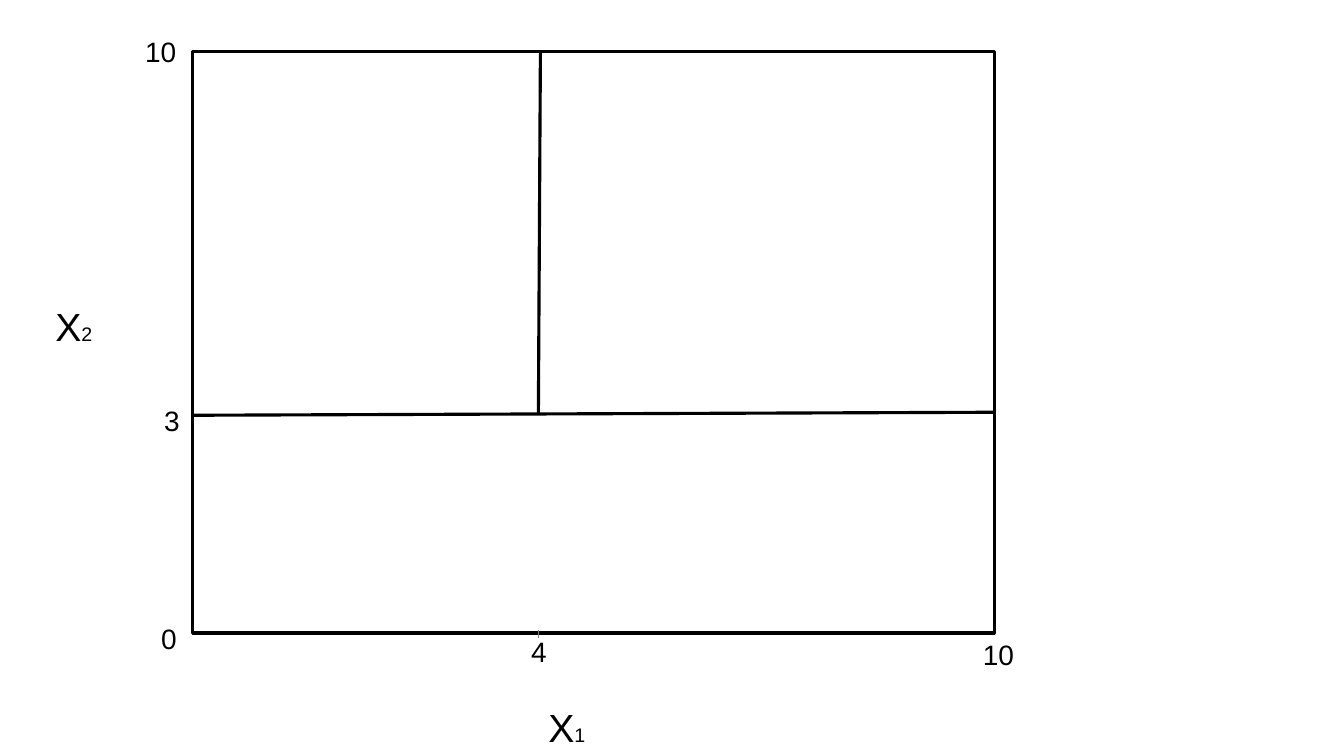
from pptx import Presentation
from pptx.dml.color import RGBColor
from pptx.enum.shapes import MSO_CONNECTOR, MSO_SHAPE
from pptx.enum.text import MSO_AUTO_SIZE
from pptx.util import Inches, Pt
from lxml import etree

RECT = MSO_SHAPE.RECTANGLE
LINE = MSO_CONNECTOR.STRAIGHT
GROW = MSO_AUTO_SIZE.SHAPE_TO_FIT_TEXT
NS = "http://schemas.openxmlformats.org/drawingml/2006/main"
BLACK, GREY = "000000", "808080"

LEFT, TOP, WIDTH, HEIGHT = 1.91, 0.51, 7.95, 5.77
SPLIT = 5.34

TICKS = [
    ("10", 1.34, 0.29),
    ("10", 9.65, 6.28),
    ("0", 1.5, 6.12),
    ("3", 1.53, 3.95),
    ("4", 5.17, 6.25),
]
AXES = [("1", 5.34, 6.93), ("2", 0.45, 2.95)]
SPLITS = [
    (SPLIT + 0.02, TOP, SPLIT, 4.1, BLACK, 2.25),
    (LEFT + WIDTH, 4.09, LEFT, 4.12, BLACK, 2.25),
    (SPLIT, 6.25, SPLIT, 6.33, GREY, 1),
]


def paint(fmt, color):
    fmt.rgb = RGBColor.from_string(color)


def style(line, color, width):
    paint(line.color, color)
    line.width = Pt(width)


def add_frame(slide):
    box = [Inches(v) for v in (LEFT, TOP, WIDTH, HEIGHT)]
    frame = slide.shapes.add_shape(RECT, *box)
    frame.shadow.inherit = False
    frame.fill.background()
    style(frame.line, BLACK, 2.25)


def add_line(slide, x1, y1, x2, y2, color, width):
    ends = [Inches(v) for v in (x1, y1, x2, y2)]
    line = slide.shapes.add_connector(LINE, *ends)
    style(line.line, color, width)
    etree.SubElement(line._element.spPr, f"{{{NS}}}effectLst")


def add_label(slide, runs, x, y, width, height):
    """Place a text box; runs are pairs of text and point size."""
    box = [Inches(v) for v in (x, y, width, height)]
    frame = slide.shapes.add_textbox(*box).text_frame
    for name, value in {"word_wrap": False, "auto_size": GROW}.items():
        setattr(frame, name, value)
    for text, size in runs:
        run = frame.paragraphs[0].add_run()
        run.text = text
        for name, value in {"name": "Arial", "size": Pt(size)}.items():
            setattr(run.font, name, value)
        paint(run.font.color, BLACK)


def main():
    deck = Presentation()
    deck.slide_width, deck.slide_height = Inches(13.33), Inches(7.5)
    slide = deck.slides.add_slide(deck.slide_layouts[6])
    add_frame(slide)
    for split in SPLITS:
        add_line(slide, *split)
    for text, x, y in TICKS:
        width = 0.58 if len(text) > 1 else 0.35
        add_label(slide, [(text, 20)], x, y, width, 0.44)
    for index, x, y in AXES:
        add_label(slide, [("X", 28), (index, 14)], x, y, 0.58, 0.57)
    deck.save("out.pptx")


if __name__ == "__main__":
    main()
